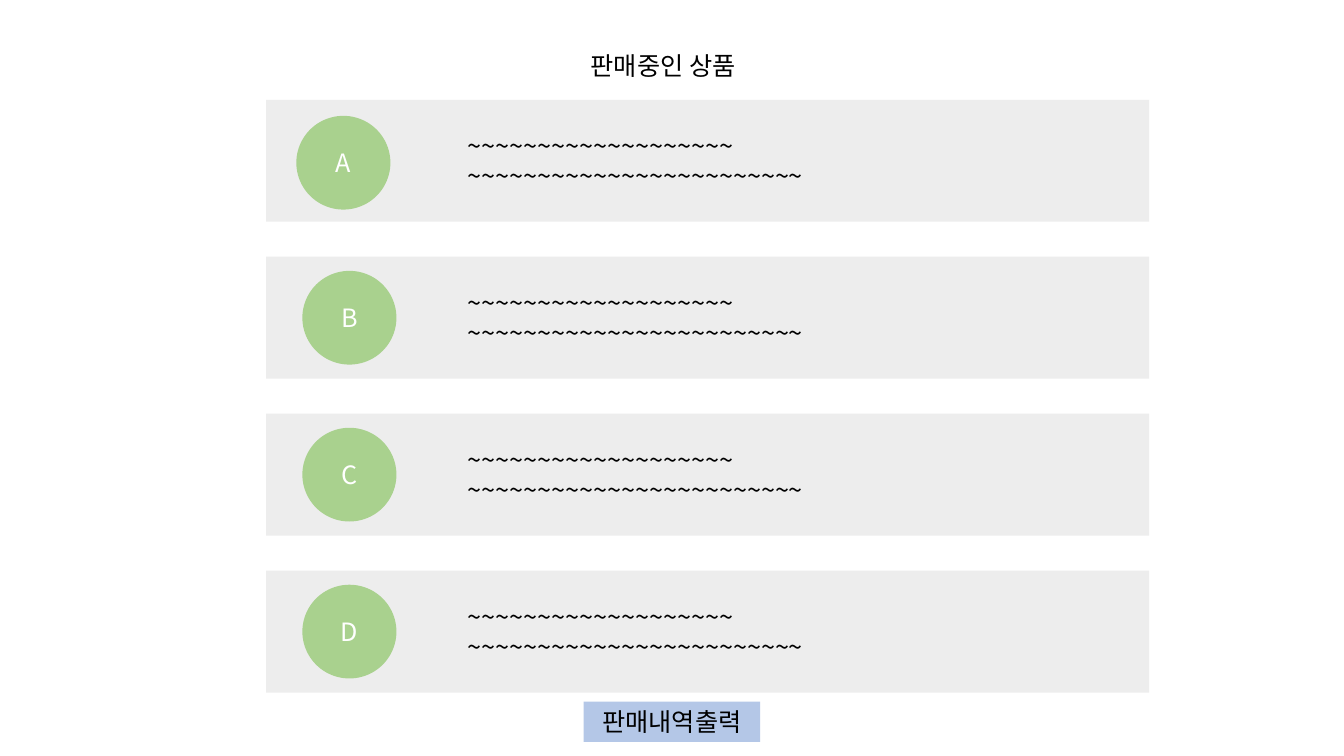
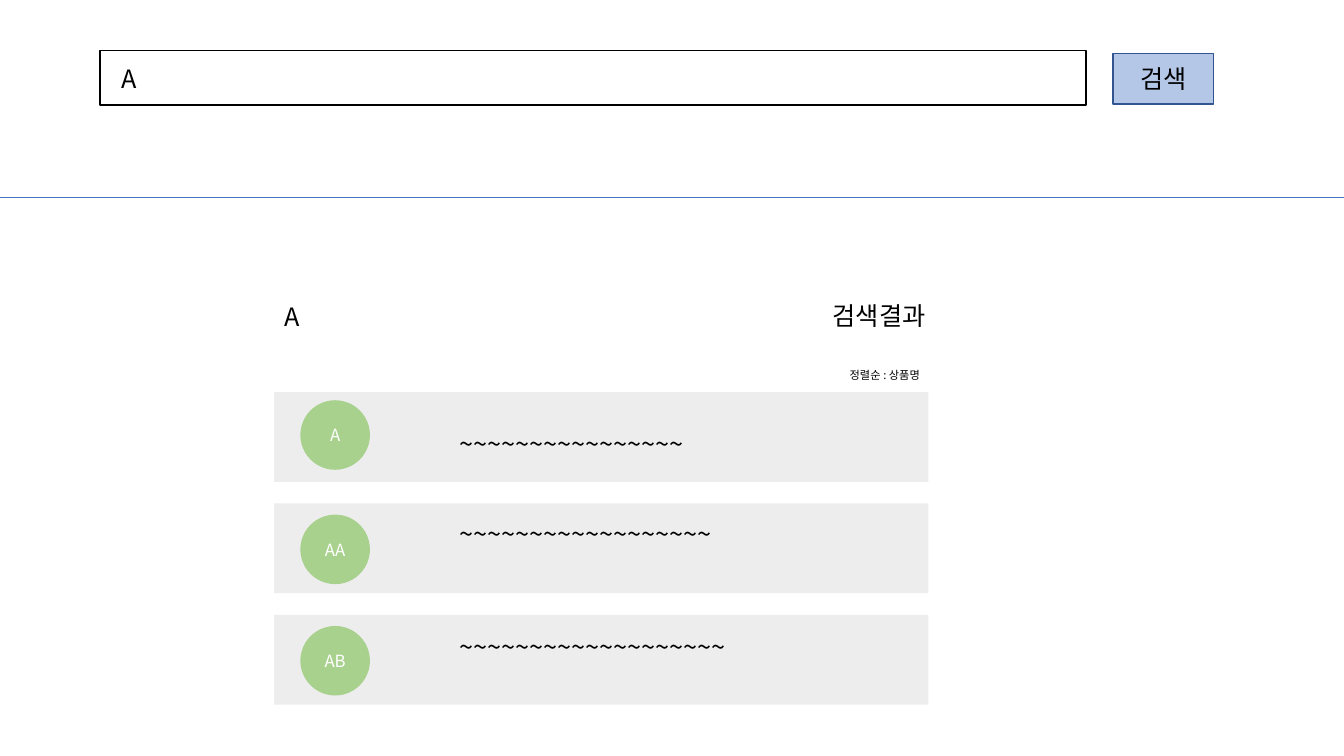
"""Build two wireframe slides: a list of products on sale and a search page."""
import pptx
import pptx.util
import pptx.dml.color
import pptx.enum.shapes
import pptx.enum.text
import pptx.oxml.ns
import lxml.etree

RGB = pptx.dml.color.RGBColor
BLACK = RGB(0x00, 0x00, 0x00)
WHITE = RGB(0xFF, 0xFF, 0xFF)
GREY = RGB(0xED, 0xED, 0xED)
GREEN = RGB(0xA9, 0xD1, 0x8E)
PALE = RGB(0xB4, 0xC7, 0xE7)
NAVY = RGB(0x32, 0x54, 0x91)
BLUE = RGB(0x44, 0x72, 0xC4)
FONT = "Noto Sans CJK KR"

RECT = pptx.enum.shapes.MSO_SHAPE.RECTANGLE
OVAL = pptx.enum.shapes.MSO_SHAPE.OVAL
ALIGN = pptx.enum.text.PP_ALIGN
ANCHOR = pptx.enum.text.MSO_ANCHOR

deck = pptx.Presentation()
deck.slide_width = pptx.util.Inches(13.33)
deck.slide_height = pptx.util.Inches(7.5)
COL = deck.slide_width / 100
ROW = deck.slide_height / 100


def write(item, text, at=None, size=18, color=BLACK, align=ALIGN.LEFT,
          anchor=ANCHOR.TOP, wrap=True):
    """Place an item, if asked, and fill it with formatted text."""
    if at:
        item.left, item.width = int(at[0] * COL), int(at[2] * COL)
        item.top, item.height = int(at[1] * ROW), int(at[3] * ROW)
    frame = item.text_frame
    frame.text = text
    frame.word_wrap = wrap
    frame.auto_size = pptx.enum.text.MSO_AUTO_SIZE.NONE
    frame.vertical_anchor = anchor
    for para in frame.paragraphs:
        para.alignment = align
        for run in para.runs:
            run.font.name = FONT
            run.font.size = pptx.util.Pt(size)
            run.font.color.rgb = color
            east = lxml.etree.SubElement(run.font._element, pptx.oxml.ns.qn("a:ea"))
            east.set("typeface", FONT)


def block(slide, kind, at, fill=None, line=None, text="", **style):
    """Draw a plain shape with optional centred text."""
    x, y, wide, high = at
    shape = slide.shapes.add_shape(
        kind, int(x * COL), int(y * ROW), int(wide * COL), int(high * ROW))
    shape.shadow.inherit = False
    if fill is None:
        shape.fill.background()
    else:
        shape.fill.solid()
        shape.fill.fore_color.rgb = fill
    if line is None:
        shape.line.fill.background()
    else:
        shape.line.color.rgb = line
        shape.line.width = pptx.util.Pt(1)
    if text:
        write(shape, text, align=ALIGN.CENTER, anchor=ANCHOR.MIDDLE, **style)


plain = deck.slide_layouts.get_by_name("Title Only")

sale = deck.slides.add_slide(plain)
write(sale.shapes.title, "판매중인 상품", at=(43.2, 6, 13.6, 5.33), wrap=False)
goods = [("A", 22.05, 2.13), ("B", 22.5, 1.87), ("C", 22.5, 1.87), ("D", 22.5, 1.87)]
for i, (name, left, drop) in enumerate(goods):
    top = 13.2 + 20.76 * i
    block(sale, RECT, (19.8, top, 65.7, 16.13), fill=GREY)
    block(sale, OVAL, (left, top + drop, 7, 12.4), fill=GREEN, text=name, color=WHITE)
    write(sale.shapes.add_textbox(0, 0, 0, 0), "~" * 19 + "\n" + "~" * 24,
          at=(34.05, top + 3.4, 33.2, 9.47))
block(sale, RECT, (43.43, 92.8, 13.13, 5.33), fill=PALE, text="판매내역출력")

find = deck.slides.add_slide(plain)
write(find.shapes.title, "검색결과", at=(55.43, 39.07, 14.18, 5.33), align=ALIGN.RIGHT)
block(find, RECT, (7.43, 6.67, 73.37, 7.2), line=BLACK)
block(find, RECT, (82.8, 7.07, 7.5, 6.67), fill=PALE, line=NAVY, text="검색")
rule = find.shapes.add_connector(
    pptx.enum.shapes.MSO_CONNECTOR.STRAIGHT,
    0, int(26.13 * ROW), deck.slide_width, int(26.13 * ROW))
rule.line.color.rgb = BLUE
rule.line.width = pptx.util.Pt(0.5)
lxml.etree.SubElement(rule._element.spPr, pptx.oxml.ns.qn("a:effectLst"))

labels = [
    ("A", (8.33, 7.73, 2.78, 5.33), 18, False),
    ("A", (20.4, 39.2, 10.05, 5.33), 18, True),
    ("정렬순 : 상품명", (62.48, 48.13, 7.35, 3.2), 8, False),
]
for text, at, size, wrap in labels:
    write(find.shapes.add_textbox(0, 0, 0, 0), text, at=at, size=size, wrap=wrap)

hits = [("A", 1.07, 16, 4.13), ("AA", 1.47, 18, 1.33), ("AB", 1.47, 19, 1.47)]
for i, (name, drop, count, gap) in enumerate(hits):
    top = 51.87 + 14.73 * i
    block(find, RECT, (20.4, top, 48.68, 11.87), fill=GREY)
    block(find, OVAL, (22.35, top + drop, 5.18, 9.2), fill=GREEN,
          text=name, size=12, color=WHITE)
    write(find.shapes.add_textbox(0, 0, 0, 0), "~" * count,
          at=(33.45, top + gap, 24.6, 5.33))

deck.save("out.pptx")
